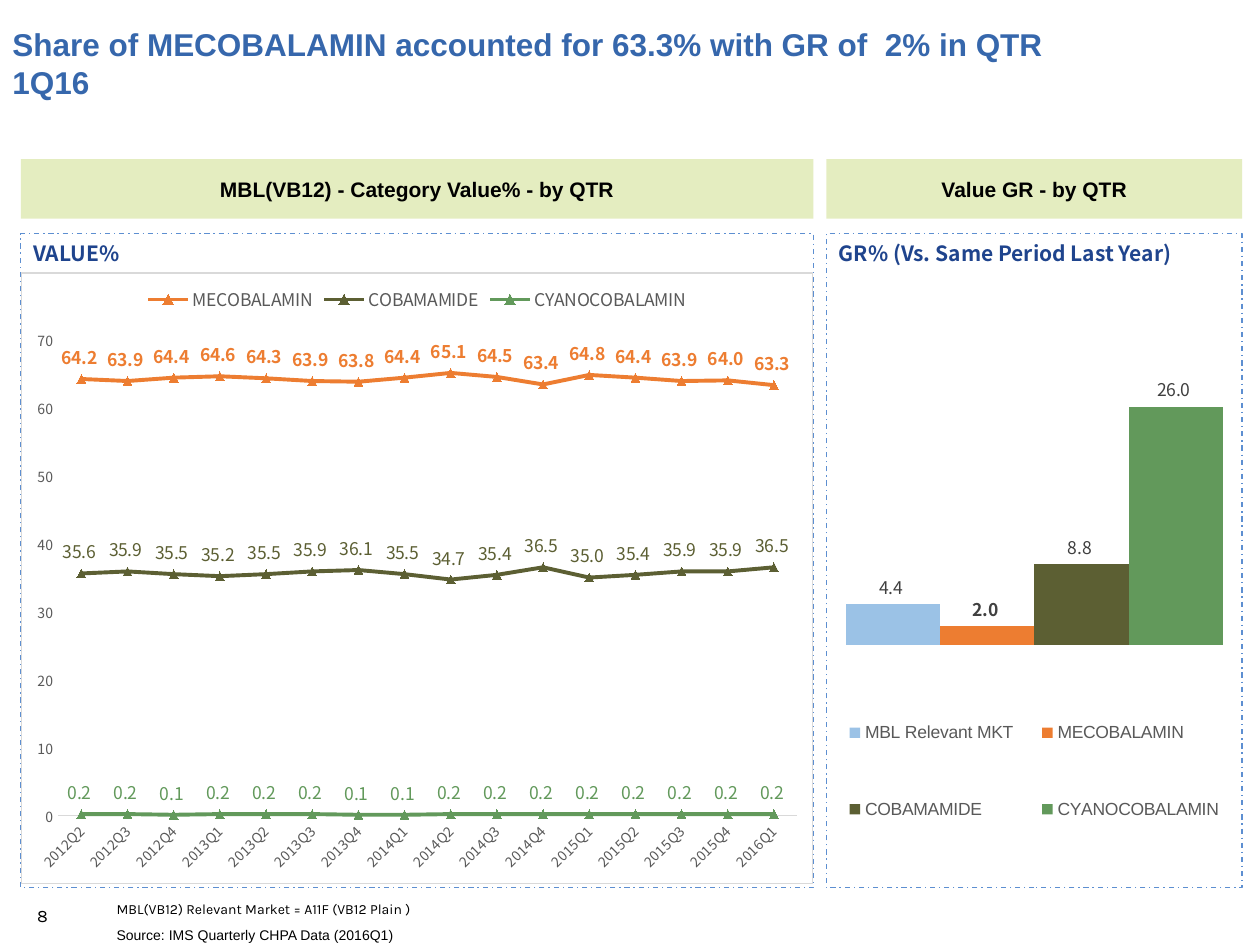
from lxml import etree
from pptx import Presentation
from pptx import util as u
from pptx.chart import data as cd
from pptx.dml.color import RGBColor
from pptx.enum import chart as ch
from pptx.enum import dml, shapes, text
from pptx.oxml import parse_xml
from pptx.oxml.ns import nsdecls, qn

BLACK = RGBColor(0, 0, 0)
TITLE = RGBColor(0x36, 0x67, 0xAC)
NAVY = RGBColor(0x1F, 0x44, 0x8D)
FRAME = RGBColor(0x5D, 0x8F, 0xD1)
LIME = RGBColor(0xBD, 0xD2, 0x62)
GREY = RGBColor(0x59, 0x59, 0x59)
DARK = RGBColor(0x40, 0x40, 0x40)
PALE = RGBColor(0xD9, 0xD9, 0xD9)
BLUE = RGBColor(0x9B, 0xC2, 0xE6)
ORANGE = RGBColor(0xED, 0x7D, 0x31)
OLIVE = RGBColor(0x5C, 0x5F, 0x33)
GREEN = RGBColor(0x62, 0x99, 0x5B)
SANS, NOTO, KARLA = "Arial", "Noto Sans CJK SC", "Karla"

QTRS = [f"{y}Q{q}" for y in range(2012, 2017) for q in range(1, 5)][1:17]
SHARES = [
    ("MECOBALAMIN", ORANGE, [64.2, 63.9, 64.4, 64.6, 64.3, 63.9, 63.8, 64.4,
                             65.1, 64.5, 63.4, 64.8, 64.4, 63.9, 64, 63.3]),
    ("COBAMAMIDE", OLIVE, [35.6, 35.9, 35.5, 35.2, 35.5, 35.9, 36.1, 35.5,
                           34.7, 35.4, 36.5, 35, 35.4, 35.9, 35.9, 36.5]),
    ("CYANOCOBALAMIN", GREEN, [0.2, 0.2, 0.1, 0.2, 0.2, 0.2, 0.1, 0.1] + [0.2] * 8),
]
GROWTH = [
    ("MBL Relevant MKT", BLUE, [4.4]),
    ("MECOBALAMIN", ORANGE, [2]),
    ("COBAMAMIDE", OLIVE, [8.8]),
    ("CYANOCOBALAMIN", GREEN, [26]),
]


def style(font, size, color, name, bold=False):
    """Set the size, colour, face and weight of a font."""
    font.size, font.name, font.bold = u.Pt(size), name, bold
    font.color.rgb = color


def write(shape, words, size, color, name, bold=False):
    """Put one run of text into a shape."""
    run = shape.text_frame.paragraphs[0].add_run()
    run.text = words
    style(run.font, size, color, name, bold)


def label(slide, box, words, *look, anchor=text.MSO_ANCHOR.MIDDLE):
    """Add a wrapping text box."""
    shape = slide.shapes.add_textbox(*map(u.Cm, box))
    shape.text_frame.word_wrap = True
    shape.text_frame.vertical_anchor = anchor
    write(shape, words, *look)


def rect(slide, box):
    """Add a plain rectangle without shadow."""
    shape = slide.shapes.add_shape(shapes.MSO_SHAPE.RECTANGLE, *map(u.Cm, box))
    shape.shadow.inherit = False
    return shape


def panel(slide, box, head, note):
    """Draw a header bar and a dashed frame, and return the chart box."""
    x, y, w, h = box
    bar = rect(slide, (x, y, w, 1.2))
    bar.fill.solid()
    bar.fill.fore_color.rgb = LIME
    tint = bar.fill._xPr.find(".//" + qn("a:srgbClr"))
    etree.SubElement(tint, qn("a:alpha")).set("val", "40000")
    bar.line.fill.background()
    bar.text_frame.word_wrap = False
    bar.text_frame.vertical_anchor = text.MSO_ANCHOR.MIDDLE
    bar.text_frame.paragraphs[0].alignment = text.PP_ALIGN.CENTER
    write(bar, head, 12, BLACK, SANS, True)
    label(slide, (x, y + 1.51, w, 0.76), note, 12, NAVY, NOTO, True,
          anchor=text.MSO_ANCHOR.TOP)
    frame = rect(slide, (x, y + 1.5, w, h - 1.5))
    frame.fill.background()
    frame.line.color.rgb = FRAME
    frame.line.width = u.Pt(0.75)
    frame.line.dash_style = dml.MSO_LINE.DASH_DOT
    return x, y + 2.28, w, h - 2.36


def layout(box, inner=False):
    """Build a manual layout from percentages of the chart."""
    x, y, w, h = (part / 100 for part in box)
    kind = '<c:layoutTarget val="inner"/>' if inner else ""
    return parse_xml(
        f'<c:layout {nsdecls("c")}><c:manualLayout>{kind}'
        '<c:xMode val="edge"/><c:yMode val="edge"/>'
        f'<c:x val="{x}"/><c:y val="{y}"/><c:w val="{w}"/><c:h val="{h}"/>'
        '</c:manualLayout></c:layout>')


def graph(slide, box, kind, cats, rows, spot, face):
    """Add a chart with its series and legend."""
    data = cd.CategoryChartData()
    data.categories = cats
    for name, _, vals in rows:
        data.add_series(name, vals)
    chart = slide.shapes.add_chart(kind, *map(u.Cm, box), data).chart
    style(chart.font, 10, BLACK, NOTO)
    chart.has_title = False
    chart.has_legend = True
    chart.legend.position = spot
    chart.legend.include_in_layout = False
    style(chart.legend.font, 10, GREY, face)
    chart.value_axis.has_major_gridlines = False
    return chart


def tag(series, spot, color):
    """Show the values of a series."""
    tags = series.data_labels
    tags.show_value = True
    tags.position = spot
    tags.number_format = "#,##0.0_ "
    tags.number_format_is_linked = False
    style(tags.font, 10, color, NOTO, series.name == "MECOBALAMIN")


def trend(slide, box):
    """Draw the line chart of quarterly shares."""
    chart = graph(slide, box, ch.XL_CHART_TYPE.LINE_MARKERS, QTRS, SHARES,
                  ch.XL_LEGEND_POSITION.TOP, NOTO)
    edge = parse_xml(
        f'<c:spPr {nsdecls("c", "a")}><a:noFill/><a:ln w="9525"><a:solidFill>'
        f'<a:srgbClr val="{PALE}"/></a:solidFill></a:ln></c:spPr>')
    chart._chartSpace.find(qn("c:chart")).addnext(edge)
    for axis in (chart.category_axis, chart.value_axis):
        axis.major_tick_mark = axis.minor_tick_mark = ch.XL_TICK_MARK.NONE
        style(axis.tick_labels.font, 8, GREY, NOTO)
        turn = axis._element.find(qn("c:txPr")).find(qn("a:bodyPr"))
        turn.set("rot", "-60000000")
        turn.set("vert", "horz")
    base, scale = chart.category_axis, chart.value_axis
    base.format.line.color.rgb = PALE
    base.format.line.width = u.Pt(0.75)
    scale.format.line.fill.background()
    scale.minimum_scale, scale.maximum_scale, scale.major_unit = 0, 70, 10
    scale.tick_labels.number_format = "#,##0"
    scale.tick_labels.number_format_is_linked = False
    for series, (_, color, _) in zip(chart.plots[0].series, SHARES):
        series.smooth = False
        series.format.line.color.rgb = color
        series.format.line.width = u.Pt(2.25)
        series.marker.style = ch.XL_MARKER_STYLE.TRIANGLE
        series.marker.size = 5
        series.marker.format.fill.solid()
        series.marker.format.fill.fore_color.rgb = color
        series.marker.format.line.color.rgb = color
        tag(series, ch.XL_LABEL_POSITION.ABOVE, color)


def growth(slide, box):
    """Draw the column chart of growth rates."""
    chart = graph(slide, box, ch.XL_CHART_TYPE.COLUMN_CLUSTERED, ["1"], GROWTH,
                  ch.XL_LEGEND_POSITION.BOTTOM, SANS)
    chart.category_axis.visible = chart.value_axis.visible = False
    chart.value_axis.minimum_scale, chart.value_axis.maximum_scale = 0, 30
    plot = chart.plots[0]
    plot.gap_width, plot.overlap, plot.vary_by_categories = 1, 0, False
    area, key = chart._chartSpace.chart.plotArea, chart.legend._element
    for part in (area, key):
        for old in part.findall(qn("c:layout")):
            part.remove(old)
    area.insert(0, layout((4.6, 16, 90.9, 44.9), True))
    key.find(qn("c:legendPos")).addnext(layout((0, 64.4, 100, 34.3)))
    for series, (_, color, _) in zip(plot.series, GROWTH):
        series.format.fill.solid()
        series.format.fill.fore_color.rgb = color
        tag(series, ch.XL_LABEL_POSITION.OUTSIDE_END, DARK)


def foot(slide, box):
    """Write the page number and the two notes."""
    x, y, w, h = box
    label(slide, (x, y + 0.01, 1.6, 0.69), "8", 10, BLACK, KARLA)
    label(slide, (x + 1.6, y, w - 1.6, 0.46),
          "MBL(VB12) Relevant Market = A11F (VB12 Plain )", 8, BLACK, KARLA)
    label(slide, (x + 1.6, y + 0.46, w - 1.6, h - 0.46),
          "Source: IMS Quarterly CHPA Data (2016Q1)", 8, BLACK, SANS,
          anchor=text.MSO_ANCHOR.TOP)


def main():
    """Build the slide and save it."""
    deck = Presentation()
    deck.slide_width, deck.slide_height = u.Cm(25.4), u.Cm(19.05)
    slide = deck.slides.add_slide(deck.slide_layouts[6])
    label(slide, (0, 0, 22.63, 2.54),
          "Share of MECOBALAMIN accounted for 63.3% with GR of  2% in QTR 1Q16",
          18, TITLE, SANS, True)
    trend(slide, panel(slide, (0.42, 3.21, 15.98, 14.69),
                       "MBL(VB12) - Category Value% - by QTR", "VALUE%"))
    growth(slide, panel(slide, (16.66, 3.21, 8.38, 14.69),
                        "Value GR - by QTR", "GR% (Vs. Same Period Last Year)"))
    foot(slide, (0.5, 18.1, 22.73, 0.95))
    deck.save("out.pptx")


if __name__ == "__main__":
    main()
